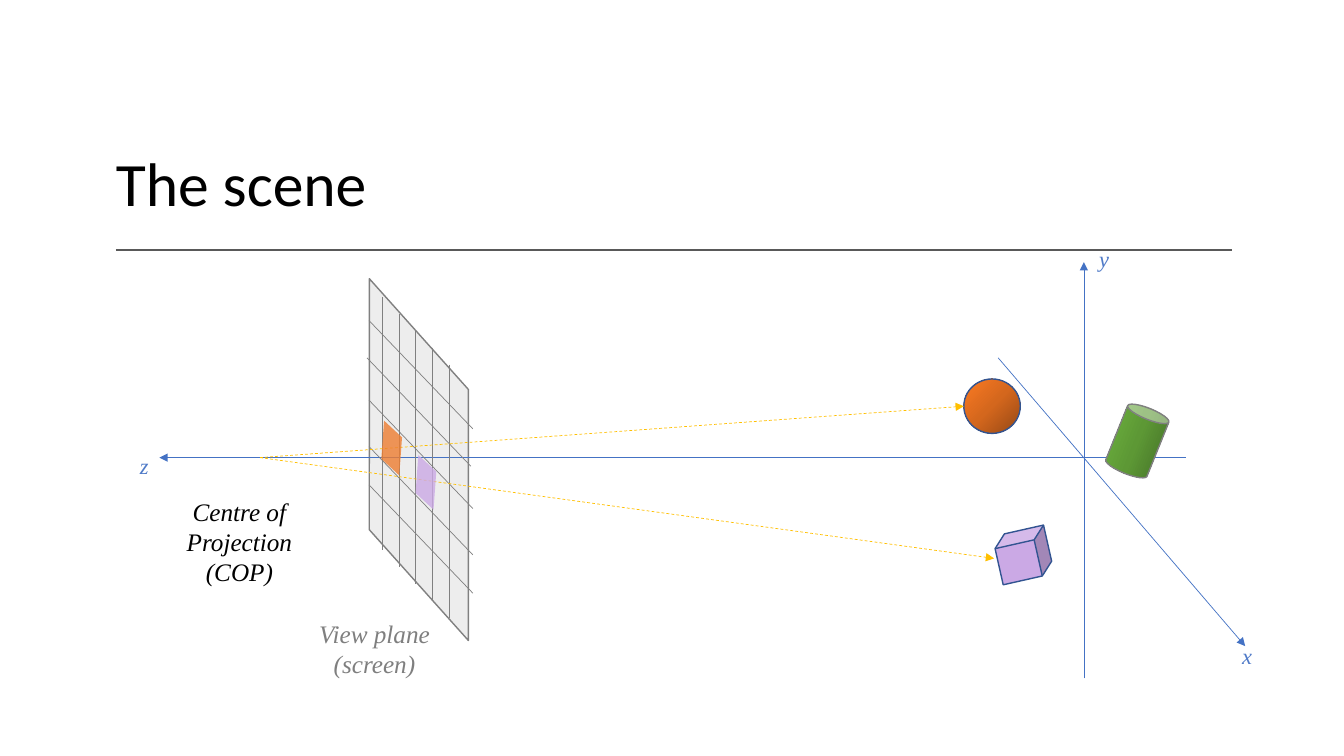
from lxml import etree
from pptx import Presentation
from pptx.dml.color import RGBColor
from pptx.enum.dml import MSO_LINE_DASH_STYLE as Dash
from pptx.enum.shapes import MSO_CONNECTOR, MSO_SHAPE as Preset
from pptx.enum.text import MSO_ANCHOR, PP_ALIGN
from pptx.oxml.ns import qn
from pptx.util import Inches, Pt

BLACK = RGBColor(0, 0, 0)
RULE = RGBColor(0x59, 0x59, 0x59)
GRAY = RGBColor(0x80, 0x80, 0x80)
CAPTION = RGBColor(0x7F, 0x7F, 0x7F)
PANE = RGBColor(0xD9, 0xD9, 0xD9)
AXIS = RGBColor(0x44, 0x72, 0xC4)
AXIS_NAME = RGBColor(0x50, 0x7B, 0xC8)
OUTLINE = RGBColor(0x32, 0x54, 0x91)
RAY = RGBColor(0xFF, 0xC0, 0x00)
ORANGE = RGBColor(0xED, 0x7D, 0x31)
LILAC = RGBColor(0xCB, 0xA9, 0xE5)
ORANGE_SHADES = [RGBColor(0x95, 0x48, 0x15), RGBColor(0xD4, 0x67, 0x1D), RGBColor(0xFB, 0x7A, 0x23)]
GREEN_SHADES = [RGBColor(0x41, 0x6B, 0x26), RGBColor(0x5D, 0x98, 0x35), RGBColor(0x6E, 0xB5, 0x3F)]

SERIF = "Times New Roman"
TITLE = "The scene"
VIEW_PLANE = "View plane\v(screen)"
CENTRE = "Centre of Projection (COP)"
AXIS_LINES = [((11.76, 4.54), (1.58, 4.54)), ((10.75, 6.73), (10.75, 2.6)), ((9.9, 3.55), (12.35, 6.41))]
AXIS_NAMES = [("y", 10.8, 2.38), ("z", 1.28, 4.44), ("x", 12.22, 6.32)]
GRID_COLUMNS, GRID_STEP, GRID_HEIGHT = 5, 0.167, 2.51
GRID_START = (3.79, 2.95)
GRID_ROWS = [(3.66, 3.18), (3.64, 3.55), (3.66, 3.97), (3.66, 4.43), (3.66, 4.81)]
ROW_RUN, ROW_DROP = 1.03, 1.075
EYE = (2.58, 4.54)
RAYS = [((9.56, 4.03), (3.62, 4.35), ORANGE), ((9.86, 5.54), (3.96, 4.69), LILAC)]

deck = Presentation()
deck.slide_width, deck.slide_height = Inches(13.33), Inches(7.5)
page = deck.slides.add_slide(deck.slide_layouts[6])


def add_text(text, left, top, width, height, size, color, font=SERIF, italic=True,
             align=PP_ALIGN.CENTER, wrap=True):
    box = page.shapes.add_textbox(Inches(left), Inches(top), Inches(width), Inches(height))
    frame = box.text_frame
    frame.word_wrap = wrap
    frame.text = text
    para = frame.paragraphs[0]
    para.alignment = align
    para.font.name, para.font.size = font, Pt(size)
    para.font.italic, para.font.color.rgb = italic, color
    return frame


def add_line(start, end, color, width=0.5, arrow=False, dashed=False):
    points = [Inches(value) for value in (*start, *end)]
    connector = page.shapes.add_connector(MSO_CONNECTOR.STRAIGHT, *points)
    connector.line.color.rgb, connector.line.width = color, Pt(width)
    if dashed:
        connector.line.dash_style = Dash.DASH
    if arrow:
        etree.SubElement(connector.line._get_or_add_ln(), qn("a:tailEnd"), type="triangle")
    etree.SubElement(connector._element.spPr, qn("a:effectLst"))


def add_solid(preset, left, top, width, height, line=None, rotation=0, adjust=None, flips=()):
    shape = page.shapes.add_shape(preset, Inches(left), Inches(top), Inches(width), Inches(height))
    shape.shadow.inherit = False
    shape.rotation = rotation
    if adjust is not None:
        shape.adjustments[0] = adjust
    for flip in flips:
        shape._element.spPr.xfrm.set(flip, "1")
    if line is None:
        shape.line.fill.background()
    else:
        shape.line.color.rgb, shape.line.width = line, Pt(1)
    return shape


def paint(shape, color, opacity=100):
    shape.fill.solid()
    shape.fill.fore_color.rgb = color
    if opacity < 100:
        tint = shape._element.spPr.find(qn("a:solidFill"))[0]
        etree.SubElement(tint, qn("a:alpha"), val=str(opacity * 1000))


def shade(shape, colors, angle):
    shape.fill.gradient()
    gradient = shape._element.spPr.find(qn("a:gradFill"))
    for child in list(gradient):
        gradient.remove(child)
    stops = etree.SubElement(gradient, qn("a:gsLst"))
    for index, color in enumerate(colors):
        stop = etree.SubElement(stops, qn("a:gs"), pos=str(index * 50000))
        etree.SubElement(stop, qn("a:srgbClr"), val=str(color))
    etree.SubElement(gradient, qn("a:lin"), ang=str(angle * 60000), scaled="0")


title = add_text(TITLE, 1.05, 1.07, 11.58, 1.16, 44, BLACK, "Calibri", False, PP_ALIGN.LEFT)
title.vertical_anchor = MSO_ANCHOR.BOTTOM
title.paragraphs[0].line_spacing = 0.9
add_line((1.15, 2.48), (12.22, 2.48), RULE, 1.25)

add_text(VIEW_PLANE, 3.06, 6.08, 1.31, 0.71, 18, CAPTION, wrap=False)
view_plane = add_solid(Preset.PARALLELOGRAM, 2.49, 3.73, 3.33, 1.66, GRAY, 48.2, 1.118, ["flipV"])
paint(view_plane, PANE, 45)

for start, end in AXIS_LINES:
    add_line(start, end, AXIS, arrow=True)
for name, left, top in AXIS_NAMES:
    add_text(name, left, top, 0.3, 0.37, 16, AXIS_NAME)
add_text(CENTRE, 1.46, 4.87, 1.83, 1.01, 18, BLACK)

shade(add_solid(Preset.OVAL, 9.56, 3.76, 0.56, 0.54, OUTLINE), ORANGE_SHADES, 225)
paint(add_solid(Preset.CUBE, 9.89, 5.26, 0.52, 0.49, OUTLINE, 347.3), LILAC)
shade(add_solid(Preset.CAN, 11.06, 4.03, 0.44, 0.69, GRAY, 22), GREEN_SHADES, 180)

for column in range(GRID_COLUMNS):
    x, y = (value + column * GRID_STEP for value in GRID_START)
    add_line((x, y), (x, y + GRID_HEIGHT), GRAY)
for x, y in GRID_ROWS:
    add_line((x, y), (x + ROW_RUN, y + ROW_DROP), GRAY)

for target, (left, top), color in RAYS:
    add_line(EYE, target, RAY, arrow=True, dashed=True)
    pixel = add_solid(Preset.PARALLELOGRAM, left, top, 0.53, 0.19, None, 94.2, 0.799, ["flipH", "flipV"])
    paint(pixel, color, 80)

deck.save("out.pptx")
